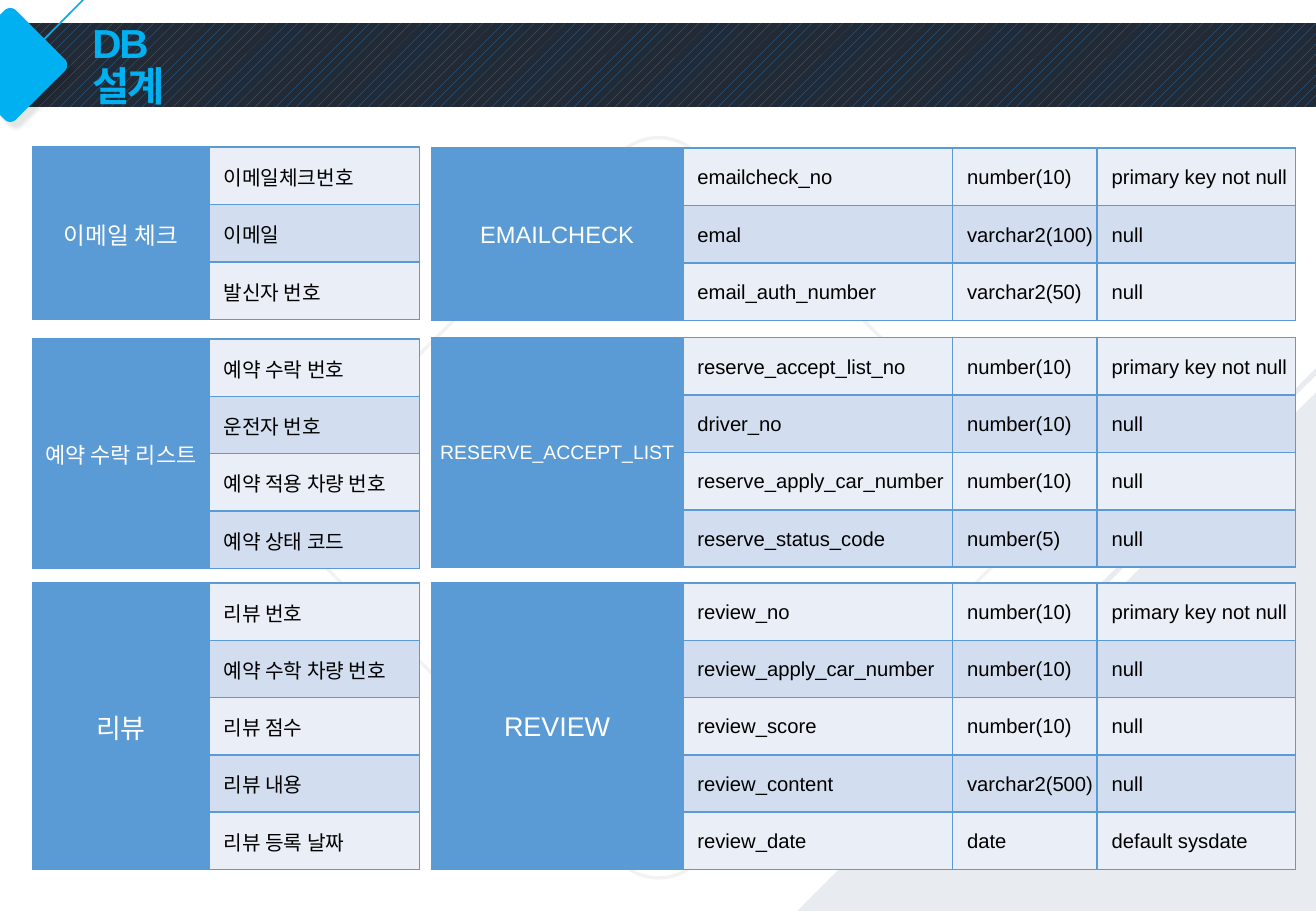
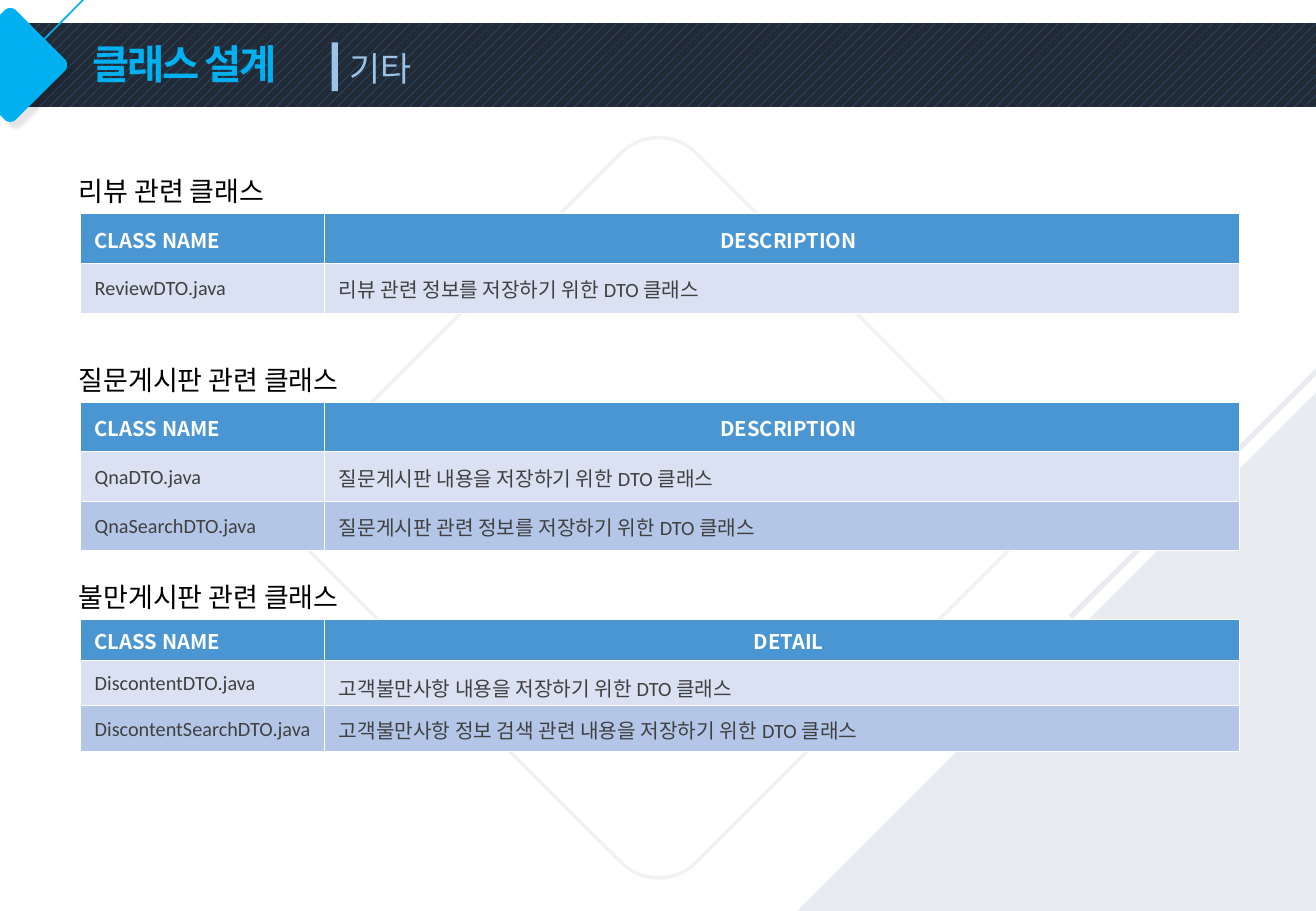
from lxml.etree import SubElement
from pptx import Presentation
from pptx.dml.color import RGBColor
from pptx.enum.dml import MSO_PATTERN
from pptx.enum.shapes import MSO_CONNECTOR, MSO_SHAPE
from pptx.enum.text import MSO_ANCHOR, MSO_AUTO_SIZE, PP_ALIGN
from pptx.oxml.ns import qn
from pptx.util import Pt

PX = 9144  # 100 px to the inch
WIDTH, HEIGHT = 1083, 750
KOREAN_FONT = "Noto Sans CJK KR"
COLORS = {
    "accent": "00B0F0", "band": "222A35", "band_dots": "2E75B6",
    "outline": "F2F2F2", "corner": "E8EBF0", "subtitle": "9DC3E6",
    "white": "FFFFFF", "black": "000000", "body": "404040",
    "entity": "5B9BD5", "odd_field": "EAEFF7", "even_field": "D2DEEF",
    "header": "4A96D2", "odd_class": "D9E1F2", "even_class": "B4C6E7",
}

# name, name size, top, height, rows
KOREAN_LEFT, KOREAN_COLUMNS = 27, (145, 173)
KOREAN_ENTITIES = [
    ("이메일 체크", 14, 121, 142, [("이메일체크번호",), ("이메일",), ("발신자 번호",)]),
    ("예약 수락 리스트", 13, 279, 189, [
        ("예약 수락 번호",), ("운전자 번호",), ("예약 적용 차량 번호",), ("예약 상태 코드",)]),
    ("리뷰", 16, 480, 236, [
        ("리뷰 번호",), ("예약 수학 차량 번호",), ("리뷰 점수",), ("리뷰 내용",), ("리뷰 등록 날짜",)]),
]
SCHEMA_LEFT, SCHEMA_COLUMNS = 355, (207, 222, 119, 163)
SCHEMA_ENTITIES = [
    ("EMAILCHECK", 14, 122, 142, [
        ("emailcheck_no", "number(10)", "primary key not null"),
        ("emal", "varchar2(100)", "null"),
        ("email_auth_number", "varchar2(50)", "null")]),
    ("RESERVE_ACCEPT_LIST", 11.5, 278, 189, [
        ("reserve_accept_list_no", "number(10)", "primary key not null"),
        ("driver_no", "number(10)", "null"),
        ("reserve_apply_car_number", "number(10)", "null"),
        ("reserve_status_code", "number(5)", "null")]),
    ("REVIEW", 16, 480, 236, [
        ("review_no", "number(10)", "primary key not null"),
        ("review_apply_car_number", "number(10)", "null"),
        ("review_score", "number(10)", "null"),
        ("review_content", "varchar2(500)", "null"),
        ("review_date", "date", "default sysdate")]),
]

# heading, top of the table, row heights, second column title, rows, first row line spacing
CLASS_LEFT, CLASS_COLUMNS = 66, (201, 753)
CLASS_GROUPS = [
    ("리뷰 관련 클래스", 176, (41, 41), "DESCRIPTION", [
        ("ReviewDTO.java", "리뷰 관련 정보를 저장하기 위한 DTO 클래스")], None),
    ("질문게시판 관련 클래스", 331, (41, 41, 40), "DESCRIPTION", [
        ("QnaDTO.java", "질문게시판 내용을 저장하기 위한 DTO 클래스"),
        ("QnaSearchDTO.java", "질문게시판 관련 정보를 저장하기 위한 DTO 클래스")], None),
    ("불만게시판 관련 클래스", 510, (34, 37, 38), "DETAIL", [
        ("DiscontentDTO.java", "고객불만사항 내용을 저장하기 위한 DTO 클래스"),
        ("DiscontentSearchDTO.java",
         "고객불만사항 정보 검색 관련 내용을 저장하기 위한 DTO 클래스")], 1.3),
]


def px(*lengths):
    return [round(length * PX) for length in lengths]


def rgb(name):
    return RGBColor.from_string(COLORS[name])


def write(frame, text, size, color, font="Arial", bold=False, align=PP_ALIGN.LEFT, spacing=None):
    paragraph = frame.paragraphs[0]
    paragraph.alignment = align
    if spacing:
        paragraph.line_spacing = spacing
    run = paragraph.add_run()
    run.text = text
    run.font.size, run.font.bold, run.font.name = Pt(size), bold, font
    run.font.color.rgb = rgb(color)
    properties = run._r.get_or_add_rPr()
    east_asian = SubElement(properties, qn("a:ea"))
    east_asian.set("typeface", KOREAN_FONT)
    return properties


def paint(shape, fill=None, line=None, width=1):
    shape.shadow.inherit = False
    if fill:
        shape.fill.solid()
        shape.fill.fore_color.rgb = rgb(fill)
    else:
        shape.fill.background()
    if line:
        shape.line.color.rgb = rgb(line)
        shape.line.width = Pt(width)
    else:
        shape.line.fill.background()


def add_rounded_diamond(slide, center_x, center_y, reach):
    """Draw a diamond whose four corners are sampled Bezier curves."""
    side, half, pull = 0.945 * reach, 0.1 * reach, 0.045 * reach
    controls = [(side, -half), (reach, -pull), (reach, pull), (side, half)]
    steps, corner = 12, []
    for step in range(steps + 1):
        t = step / steps
        weights = ((1 - t) ** 3, 3 * t * (1 - t) ** 2, 3 * t * t * (1 - t), t ** 3)
        corner.append([sum(w * point[axis] for w, point in zip(weights, controls))
                       for axis in (0, 1)])
    outline = []
    for _ in range(4):
        outline += [px(center_x + x, center_y + y) for x, y in corner]
        corner = [(-y, x) for x, y in corner]
    builder = slide.shapes.build_freeform(*outline[0], scale=1.0)
    builder.add_line_segments(outline[1:], close=True)
    return builder.convert_to_shape()


def add_line(slide, start, end, color, width):
    line = slide.shapes.add_connector(MSO_CONNECTOR.STRAIGHT, *px(*start, *end))
    line.line.color.rgb = rgb(color)
    line.line.width = Pt(width)
    SubElement(line.element.spPr, qn("a:effectLst"))


def add_backdrop(slide):
    band = slide.shapes.add_shape(MSO_SHAPE.RECTANGLE, *px(0, 19, WIDTH, 69))
    paint(band)
    band.fill.patterned()
    band.fill.pattern = MSO_PATTERN.PERCENT_20
    band.fill.fore_color.rgb, band.fill.back_color.rgb = rgb("band_dots"), rgb("band")

    badge = add_rounded_diamond(slide, 8.5, 53.5, 47.5)
    paint(badge, "accent")
    effects = badge.element.spPr.find(qn("a:effectLst"))
    shadow = SubElement(effects, qn("a:outerShdw"), blurRad=str(Pt(2)), dist=str(Pt(5)),
                        dir="2700000", algn="tl", rotWithShape="0")
    tint = SubElement(shadow, qn("a:srgbClr"), val=COLORS["black"])
    SubElement(tint, qn("a:alpha"), val="10000")

    paint(add_rounded_diamond(slide, 542, 418, 309), line="outline", width=2)
    corner = slide.shapes.add_shape(MSO_SHAPE.RIGHT_TRIANGLE, *px(656, 323, 427, 427))
    corner.rotation = 270
    paint(corner, "corner")
    add_line(slide, (8, 61), (85, -17), "accent", 1)
    add_line(slide, (1201, 188), (881, 508), "corner", 3)


def move_to_layout(slide, layout):
    """Share the drawn shapes of a slide through its layout."""
    for holder in list(layout.placeholders):
        if holder.placeholder_format.idx:
            layout.shapes.element.remove(holder.element)
    for shape in list(slide.shapes):
        if not shape.is_placeholder:
            layout.shapes.element.append(shape.element)


def set_title(slide, text, width):
    title = slide.shapes.title
    title.left, title.top, title.width, title.height = px(76, 37, width, 36)
    frame = title.text_frame
    frame.margin_left = frame.margin_right = frame.margin_top = frame.margin_bottom = 0
    frame.vertical_anchor = MSO_ANCHOR.MIDDLE
    frame.word_wrap = True
    frame.auto_size = MSO_AUTO_SIZE.NONE
    write(frame, text, 24, "accent", bold=True, spacing=0.9).set("spc", "-130")


def add_label(slide, text, box, size, color):
    label = slide.shapes.add_textbox(*px(*box))
    label.text_frame.word_wrap = True
    write(label.text_frame, text, size, color, "Calibri")


def add_grid(slide, left, top, columns, rows):
    frame = slide.shapes.add_table(len(rows), len(columns),
                                   *px(left, top, sum(columns), sum(rows)))
    table = frame.table
    table.first_row = table.horz_banding = False
    for column, width in zip(table.columns, px(*columns)):
        column.width = width
    for row, height in zip(table.rows, px(*rows)):
        row.height = height
    return table


def style_cell(cell, fill, border, border_width, indent=12):
    cell.margin_left, cell.margin_right, cell.margin_top, cell.margin_bottom = px(indent, 1, 1, 0)
    cell.vertical_anchor = MSO_ANCHOR.MIDDLE
    properties = cell._tc.get_or_add_tcPr()
    for edge in ("lnL", "lnR", "lnT", "lnB"):
        line = SubElement(properties, qn(f"a:{edge}"), w=str(Pt(border_width)))
        SubElement(SubElement(line, qn("a:solidFill")), qn("a:srgbClr"), val=COLORS[border])
    cell.fill.solid()
    cell.fill.fore_color.rgb = rgb(fill)


def add_entity(slide, left, columns, name, name_size, top, height, fields):
    count = len(fields)
    table = add_grid(slide, left, top, columns, [height / count] * count)
    for row, field in enumerate(fields):
        style_cell(table.cell(row, 0), "entity", "entity", 1, indent=1)
        for column, text in enumerate(field, 1):
            cell = table.cell(row, column)
            style_cell(cell, "even_field" if row % 2 else "odd_field", "entity", 1)
            write(cell.text_frame, text, 12, "black")
    table.cell(0, 0).merge(table.cell(count - 1, 0))
    write(table.cell(0, 0).text_frame, name, name_size, "white", align=PP_ALIGN.CENTER)


def add_class_group(slide, heading, top, heights, detail_title, classes, first_spacing):
    table = add_grid(slide, CLASS_LEFT, top, CLASS_COLUMNS, heights)
    for row, texts in enumerate([("CLASS NAME", detail_title)] + classes):
        fill = ("even_class" if row % 2 == 0 else "odd_class") if row else "header"
        for column, text in enumerate(texts):
            cell = table.cell(row, column)
            style_cell(cell, fill, "white", 0.5)
            if row:
                spacing = first_spacing if (row, column) == (1, 1) else None
                write(cell.text_frame, text, 12, "body", "Calibri", spacing=spacing)
            else:
                align = PP_ALIGN.CENTER if column else PP_ALIGN.LEFT
                write(cell.text_frame, text, 12, "white", KOREAN_FONT, True, align)
    add_label(slide, heading, (55, top - 37, 405, 37), 16, "black")


def main():
    deck = Presentation()
    deck.slide_width, deck.slide_height = px(WIDTH, HEIGHT)
    layout = deck.slide_layouts[5]

    database = deck.slides.add_slide(layout)
    add_backdrop(database)
    move_to_layout(database, layout)
    set_title(database, "DB 설계", 100)
    for entity in KOREAN_ENTITIES:
        add_entity(database, KOREAN_LEFT, KOREAN_COLUMNS, *entity)
    for entity in SCHEMA_ENTITIES:
        add_entity(database, SCHEMA_LEFT, SCHEMA_COLUMNS, *entity)

    classes = deck.slides.add_slide(layout)
    set_title(classes, "클래스 설계", 167)
    add_label(classes, "기타", (278, 34, 499, 44), 20, "subtitle")
    divider = classes.shapes.add_shape(MSO_SHAPE.RECTANGLE, *px(273, 35, 5, 40))
    paint(divider, "subtitle")
    for group in CLASS_GROUPS:
        add_class_group(classes, *group)
    deck.save("out.pptx")


if __name__ == "__main__":
    main()
